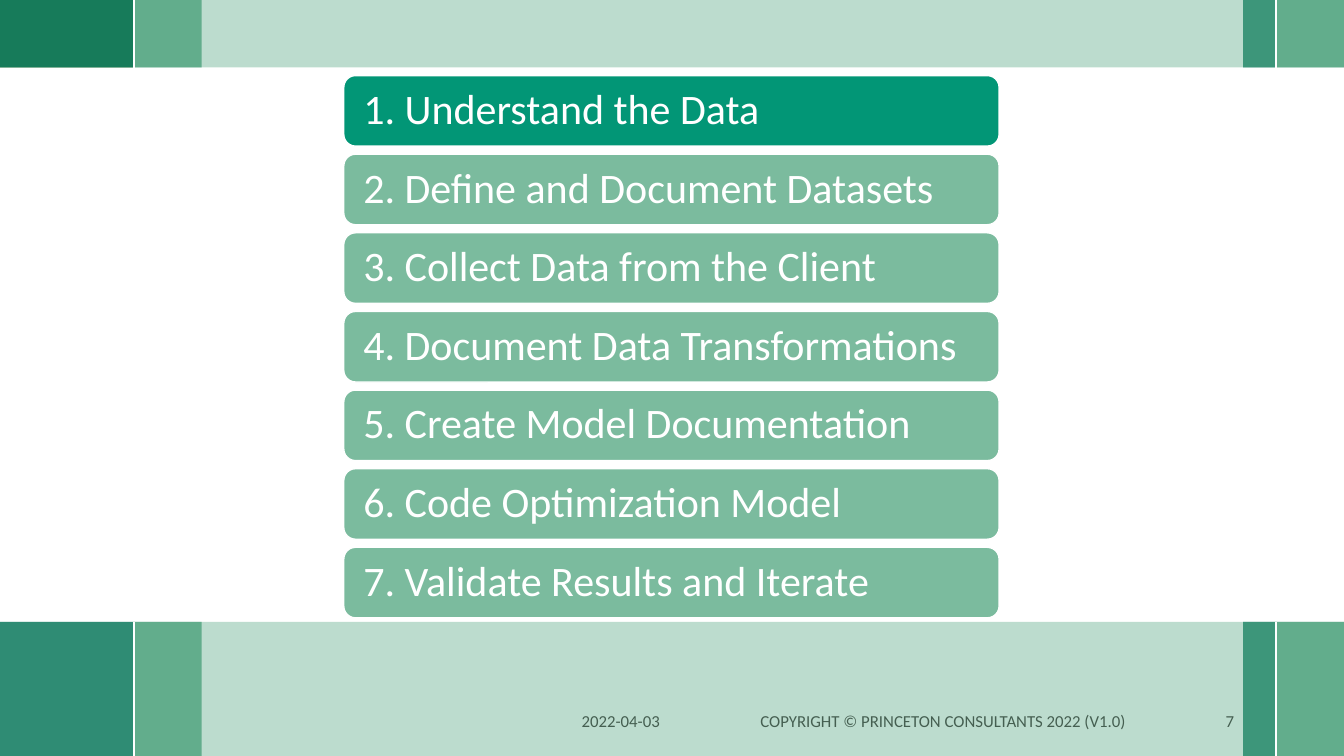
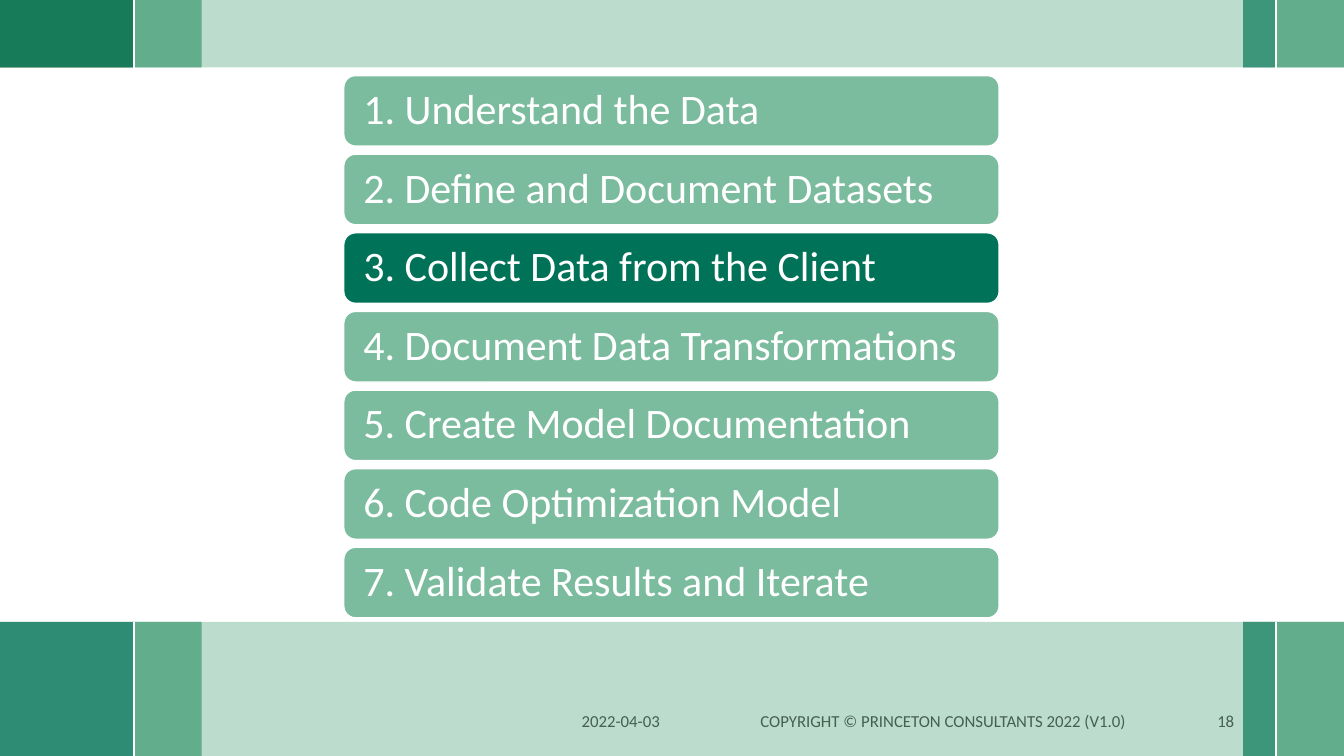
"""Build two agenda slides that share green bands and a footer."""
from lxml import etree
from pptx import Presentation
from pptx import util as u
from pptx.dml.color import RGBColor
from pptx.enum import shapes, text
from pptx.oxml.ns import qn

WHITE = RGBColor(0xFF, 0xFF, 0xFF)
DARK_GREEN = RGBColor(0x00, 0x72, 0x57)
MID_GREEN = RGBColor(0x4A, 0x9F, 0x7B)
SOFT_GREEN = RGBColor(0x7B, 0xBB, 0x9E)
BRIGHT_GREEN = RGBColor(0x02, 0x96, 0x76)
LEAF_GREEN = RGBColor(0x3F, 0x76, 0x2B)
FOOTER_GREY = RGBColor(0x45, 0x5F, 0x51)

FONT = "Calibri"
SLIDE_WIDTH, SLIDE_HEIGHT = 13.33, 7.5
TOP_BAND_HEIGHT, BOTTOM_BAND_HEIGHT = 0.67, 1.33
CORNER_WIDTH = 1.33
RIGHT_BLOCK_LEFT = 12.66
STEP_LEFT, STEP_TOP, STEP_WIDTH, STEP_HEIGHT = 3.41, 0.75, 6.5, 0.7
STEP_PITCH = 0.78
STEP_INSET = 0.16

STEPS = [
    "1. Understand the Data",
    "2. Define and Document Datasets",
    "3. Collect Data from the Client",
    "4. Document Data Transformations",
    "5. Create Model Documentation",
    "6. Code Optimization Model",
    "7. Validate Results and Iterate",
]
DATE = "2022-04-03"
COPYRIGHT = "COPYRIGHT © PRINCETON CONSULTANTS 2022 (V1.0)"
AGENDAS = [("7", 0, BRIGHT_GREEN), ("18", 2, DARK_GREEN)]


def write_text(shape, words, size, color, align=text.PP_ALIGN.LEFT,
               line_spacing=None, inset=None):
    """Write one vertically centred paragraph into a shape."""
    frame = shape.text_frame
    frame.word_wrap = True
    frame.vertical_anchor = text.MSO_ANCHOR.MIDDLE
    if inset is not None:
        frame.margin_left = frame.margin_right = u.Inches(inset)
        frame.margin_top = frame.margin_bottom = u.Inches(inset)
    paragraph = frame.paragraphs[0]
    paragraph.alignment = align
    paragraph.line_spacing = line_spacing
    run = paragraph.add_run()
    run.text = words
    run.font.name = FONT
    run.font.size = u.Pt(size)
    run.font.color.rgb = color


def add_block(slide, left, top, width, height, fill, opacity=100,
              kind=shapes.MSO_SHAPE.RECTANGLE):
    """Add a filled shape without outline or shadow."""
    block = slide.shapes.add_shape(
        kind, u.Inches(left), u.Inches(top), u.Inches(width), u.Inches(height))
    block.shadow.inherit = False
    block.fill.solid()
    block.fill.fore_color.rgb = fill
    block.line.fill.background()
    if opacity < 100:
        color = block.element.spPr.find(qn("a:solidFill")).find(qn("a:srgbClr"))
        etree.SubElement(color, qn("a:alpha"), val=str(opacity * 1000))
    return block


def add_divider(slide, left, top, height):
    """Add a thin white vertical line."""
    divider = slide.shapes.add_connector(
        shapes.MSO_CONNECTOR.STRAIGHT, u.Inches(left), u.Inches(top),
        u.Inches(left), u.Inches(top + height))
    divider.line.color.rgb = WHITE
    divider.line.width = u.Pt(1.5)
    etree.SubElement(divider.element.spPr, qn("a:effectLst"))


def add_band(slide, top, height, corner_base=None):
    """Add a full-width band with blocks at both ends."""
    add_block(slide, RIGHT_BLOCK_LEFT, top, 0.67, height, MID_GREEN)
    add_block(slide, 12.33, top, 0.33, height, DARK_GREEN)
    add_block(slide, CORNER_WIDTH, top, 0.67, height, MID_GREEN)
    if corner_base is not None:
        add_block(slide, 0, top, CORNER_WIDTH, height, corner_base)
    add_block(slide, 0, top, SLIDE_WIDTH, height, SOFT_GREEN, opacity=50)
    add_divider(slide, RIGHT_BLOCK_LEFT, top, height)
    add_block(slide, 0, top, CORNER_WIDTH, height, DARK_GREEN, opacity=75)
    add_divider(slide, CORNER_WIDTH, top, height)


def move_to_layout(slide, layout):
    """Replace the layout's placeholders with the shapes drawn on the slide."""
    for placeholder in list(layout.placeholders):
        layout.shapes.element.remove(placeholder.element)
    for shape in list(slide.shapes):
        layout.shapes.element.append(shape.element)


def add_footer(slide, number):
    """Add the date, copyright line and slide number."""
    for left, width, words, align in [
            (5.67, 1.33, DATE, text.PP_ALIGN.LEFT),
            (7.16, 4.39, COPYRIGHT, text.PP_ALIGN.CENTER),
            (11.67, 0.67, number, text.PP_ALIGN.RIGHT)]:
        box = slide.shapes.add_textbox(
            u.Inches(left), u.Inches(6.95), u.Inches(width), u.Inches(0.4))
        write_text(box, words, 12, FOOTER_GREY, align=align)


def add_steps(slide, current, highlight):
    """Stack the step boxes and highlight the current one."""
    for index, step in enumerate(STEPS):
        box = add_block(
            slide, STEP_LEFT, STEP_TOP + index * STEP_PITCH,
            STEP_WIDTH, STEP_HEIGHT,
            highlight if index == current else SOFT_GREEN,
            kind=shapes.MSO_SHAPE.ROUNDED_RECTANGLE)
        box.line.color.rgb = WHITE
        box.line.width = u.Pt(1)
        write_text(box, step, 30, WHITE, line_spacing=0.9, inset=STEP_INSET)


def main():
    """Build and save the presentation."""
    presentation = Presentation()
    presentation.slide_width = u.Inches(SLIDE_WIDTH)
    presentation.slide_height = u.Inches(SLIDE_HEIGHT)
    layout = presentation.slide_layouts[6]
    slides = [presentation.slides.add_slide(layout) for _ in AGENDAS]

    add_band(slides[0], SLIDE_HEIGHT - BOTTOM_BAND_HEIGHT, BOTTOM_BAND_HEIGHT)
    add_band(slides[0], 0, TOP_BAND_HEIGHT, corner_base=LEAF_GREEN)
    move_to_layout(slides[0], layout)

    for slide, (number, current, highlight) in zip(slides, AGENDAS):
        add_footer(slide, number)
        add_steps(slide, current, highlight)
    presentation.save("out.pptx")


if __name__ == "__main__":
    main()
